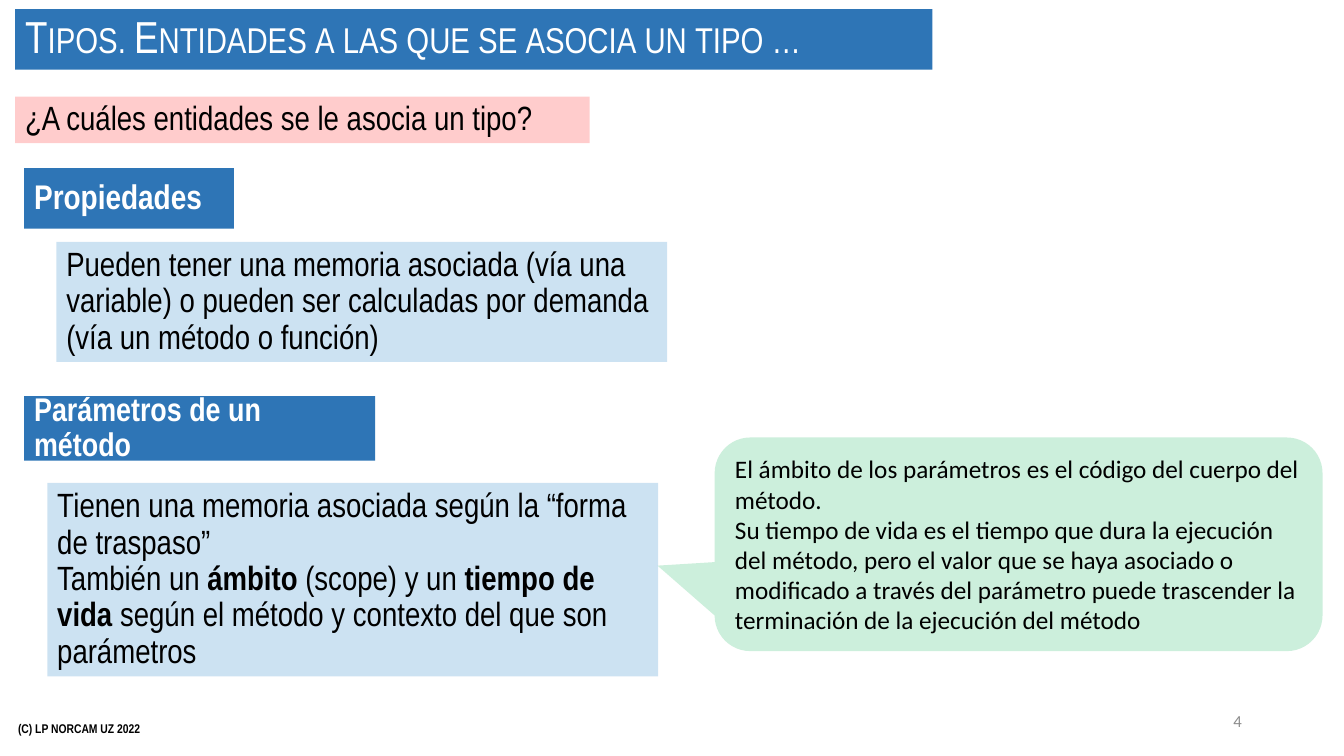
import lxml.etree
import pptx
import pptx.dml.color
import pptx.enum.shapes
import pptx.enum.text
import pptx.oxml.ns
import pptx.util

Pt = pptx.util.Pt
SHAPES = pptx.enum.shapes.MSO_SHAPE
ALIGN = pptx.enum.text.PP_ALIGN
COLORS = {"blue": "2E75B6", "red": "FF0000", "sky": "0070C0", "green": "00B050",
          "black": "000000", "white": "FFFFFF", "gray": "8C8C8C"}

# Content: a paragraph is a list of (text, bold) runs
TITLE = [[("Tipos. Entidades a las que se asocia un tipo …", False)]]
FOOTER = [[("(C) LP NORCAM UZ 2022", True)]]
QUESTION = [[("¿A cuáles entidades se le asocia un tipo?", False)]]
PROPERTIES = [[("Propiedades", True)]]
PROPERTIES_TEXT = [[("Pueden tener una memoria asociada (vía una variable) o pueden ser "
                     "calculadas por demanda (vía un método o función)", False)]]
PARAMETERS = [[("Parámetros de un método", True)]]
PARAMETERS_TEXT = [
    [("Tienen una memoria asociada según la “forma de traspaso”", False)],
    [("También un ", False), ("ámbito", True), (" (scope) y un ", False),
     ("tiempo de vida ", True),
     ("según el método y contexto del que son parámetros", False)],
]
SCOPE_NOTE = [
    [("El ámbito de los parámetros es el código del cuerpo del método.", False)],
    [("Su tiempo de vida es el tiempo que dura la ejecución del método, pero el valor que "
      "se haya asociado o modificado a través del parámetro puede trascender la "
      "terminación de la ejecución del método", False)],
]

# Formats and boxes: (left, top, width, height) in points
HEADING = {"fill": "blue", "color": "white"}
DETAIL = {"fill": "sky", "alpha": 20, "size": 24}
BOXES = [
    (QUESTION, (10.8, 69.1, 410.4, 33.1), {"fill": "red", "alpha": 20, "size": 24}),
    (PROPERTIES, (17.3, 120.2, 149.8, 43.2), HEADING | {"size": 24.4}),
    (PROPERTIES_TEXT, (40.3, 172.8, 436.3, 85.7), DETAIL),
    (PARAMETERS, (17.3, 283, 250.6, 46.1), HEADING | {"size": 23.4}),
    (PARAMETERS_TEXT, (33.8, 344.9, 436.3, 138.2), DETAIL),
    (SCOPE_NOTE, (510.5, 312.5, 434.2, 152.6),
     {"fill": "green", "alpha": 20, "size": 18, "font": "Calibri", "spacing": 1,
      "shape": SHAPES.ROUNDED_RECTANGULAR_CALLOUT, "adjust": (-0.594, 0.1, 0.167)}),
]


def rgb(name):
    return pptx.dml.color.RGBColor.from_string(COLORS[name])


def place(shape, box):
    for name, value in zip(("left", "top", "width", "height"), box):
        setattr(shape, name, Pt(value))


def paint(shape, style):
    shape.fill.solid()
    shape.fill.fore_color.rgb = rgb(style["fill"])
    if "alpha" in style:
        color = shape.fill._xPr.find(".//" + pptx.oxml.ns.qn("a:srgbClr"))
        alpha = lxml.etree.SubElement(color, pptx.oxml.ns.qn("a:alpha"))
        alpha.set("val", str(style["alpha"] * 1000))


def write(shape, paragraphs, style):
    frame = shape.text_frame
    frame.word_wrap = True
    frame.auto_size = pptx.enum.text.MSO_AUTO_SIZE.NONE
    frame.vertical_anchor = pptx.enum.text.MSO_ANCHOR.MIDDLE
    for index, runs in enumerate(paragraphs):
        paragraph = frame.add_paragraph() if index else frame.paragraphs[0]
        paragraph.alignment = style.get("align", ALIGN.LEFT)
        paragraph.line_spacing = style.get("spacing", 0.9)
        for text, bold in runs:
            run = paragraph.add_run()
            run.text = text
            font = {"name": style.get("font", "Arial Narrow"),
                    "size": Pt(style["size"]), "bold": bold}
            for name, value in font.items():
                setattr(run.font, name, value)
            run.font.color.rgb = rgb(style.get("color", "black"))


def main():
    presentation = pptx.Presentation()
    presentation.slide_width = Pt(960)
    presentation.slide_height = Pt(540)
    slide = presentation.slides.add_slide(presentation.slide_layouts[5])

    # Title in small capitals
    title = slide.shapes.title
    title_style = HEADING | {"size": 32}
    place(title, (10.8, 6.5, 655.2, 43.2))
    paint(title, title_style)
    write(title, TITLE, title_style)
    title.text_frame.paragraphs[0].runs[0].font._element.set("cap", "small")

    # Footer and slide number
    footer = slide.shapes.add_textbox(Pt(5.8), Pt(506.2), Pt(324), Pt(28.8))
    write(footer, FOOTER, {"size": 9, "spacing": 1})
    number = slide.shapes.add_textbox(Pt(678.2), Pt(500.4), Pt(216), Pt(28.8))
    write(number, [[("4", False)]], {"size": 12, "font": "Calibri", "color": "gray",
                                     "align": ALIGN.RIGHT, "spacing": 1})

    # Headings, details and callout
    for paragraphs, box, style in BOXES:
        kind = style.get("shape", SHAPES.RECTANGLE)
        shape = slide.shapes.add_shape(kind, *map(Pt, box))
        shape.shadow.inherit = False
        shape.line.fill.background()
        for index, value in enumerate(style.get("adjust", ())):
            shape.adjustments[index] = value
        paint(shape, style)
        write(shape, paragraphs, style)

    presentation.save("out.pptx")


if __name__ == "__main__":
    main()
